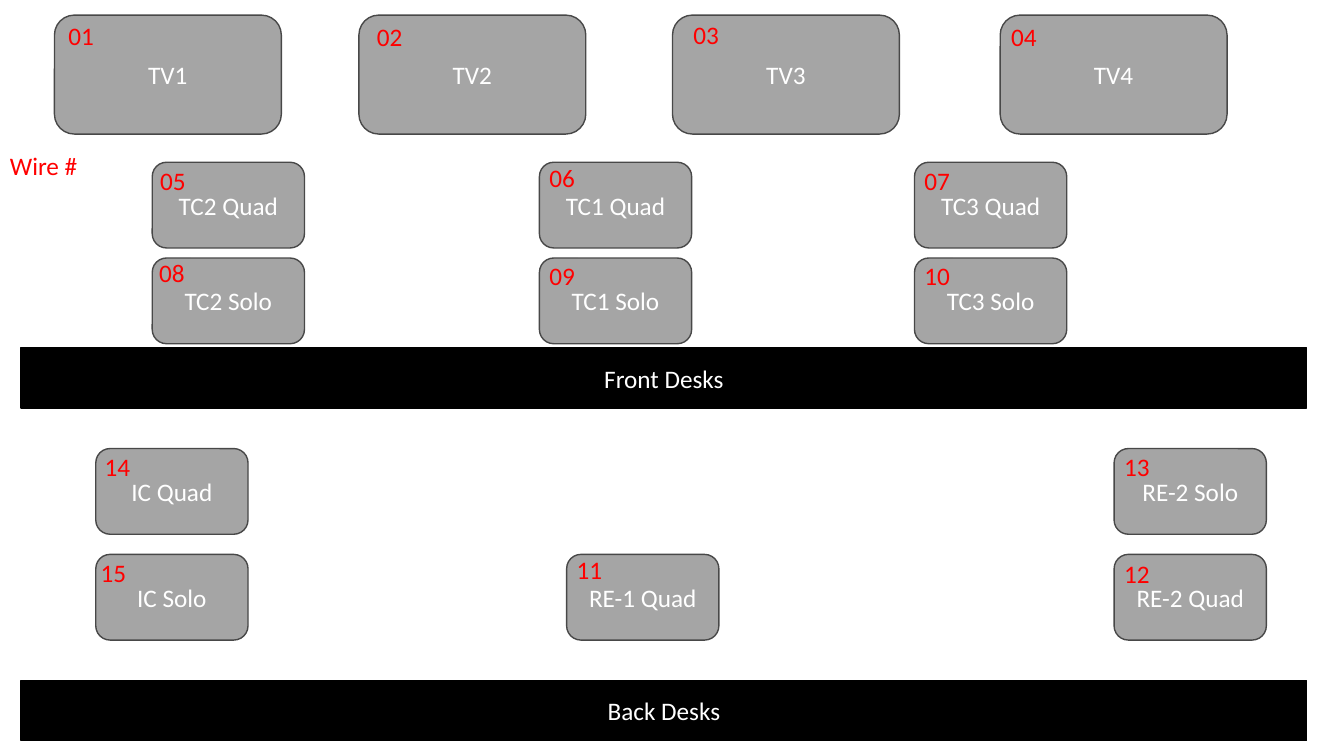
from dataclasses import dataclass

from pptx import Presentation
from pptx.dml.color import RGBColor
from pptx.enum.shapes import MSO_SHAPE
from pptx.enum.text import MSO_ANCHOR, MSO_AUTO_SIZE, PP_ALIGN
from pptx.util import Inches, Pt


@dataclass(frozen=True)
class Theme:
    font: str = "Calibri"
    size: int = 18
    stroke: int = 1
    desk: str = "000000"
    screen: str = "A5A5A5"
    edge: str = "484848"
    label: str = "FFFFFF"
    wire: str = "FF0000"


theme = Theme()
deck = Presentation()
deck.slide_width = Inches(13.33)
deck.slide_height = Inches(7.5)
slide = deck.slides.add_slide(deck.slide_layouts[6])


def write(frame, text, color):
    run = frame.paragraphs[0].add_run()
    run.text = text
    run.font.name = theme.font
    run.font.size = Pt(theme.size)
    run.font.color.rgb = RGBColor.from_string(color)


def add_box(kind, text, place, fill, edge):
    box = slide.shapes.add_shape(kind, *map(Inches, place))
    box.shadow.inherit = False
    box.fill.solid()
    box.fill.fore_color.rgb = RGBColor.from_string(fill)
    box.line.color.rgb = RGBColor.from_string(edge)
    box.line.width = Pt(theme.stroke)
    frame = box.text_frame
    frame.vertical_anchor = MSO_ANCHOR.MIDDLE
    frame.paragraphs[0].alignment = PP_ALIGN.CENTER
    write(frame, text, theme.label)


for name, top in [("Front Desks", 3.45), ("Back Desks", 6.75)]:
    add_box(MSO_SHAPE.RECTANGLE, name, (0.21, top, 12.75, 0.6), theme.desk, theme.desk)

large = (2.25, 1.18)
small = (1.51, 0.85)
rows = [
    (0.15, large, [
        ("TV1", 0.54, "01", 0.58, 0.15),
        ("TV2", 3.56, "02", 3.64, 0.16),
        ("TV3", 6.67, "03", 6.78, 0.14),
        ("TV4", 9.92, "04", 9.93, 0.16),
    ]),
    (1.61, small, [
        ("TC2 Quad", 1.51, "05", 1.49, 1.59),
        ("TC1 Quad", 5.35, "06", 5.35, 1.56),
        ("TC3 Quad", 9.07, "07", 9.07, 1.59),
    ]),
    (2.56, small, [
        ("TC2 Solo", 1.51, "08", 1.48, 2.5),
        ("TC1 Solo", 5.35, "09", 5.35, 2.53),
        ("TC3 Solo", 9.07, "10", 9.07, 2.53),
    ]),
    (4.45, small, [
        ("IC Quad", 0.95, "14", 0.94, 4.43),
        ("RE-2 Solo", 11.05, "13", 11.05, 4.43),
    ]),
    (5.5, small, [
        ("IC Solo", 0.95, "15", 0.9, 5.48),
        ("RE-1 Quad", 5.62, "11", 5.62, 5.45),
        ("RE-2 Quad", 11.05, "12", 11.05, 5.49),
    ]),
]

notes = [("Wire #", 0, 1.44, 1.14)]
for top, size, screens in rows:
    for name, left, wire, x, y in screens:
        place = (left, top, *size)
        add_box(MSO_SHAPE.ROUNDED_RECTANGLE, name, place, theme.screen, theme.edge)
        notes.append((wire, x, y, 0.54))

for text, left, top, width in notes:
    note = slide.shapes.add_textbox(*map(Inches, (left, top, width, 0.4)))
    frame = note.text_frame
    frame.word_wrap = True
    frame.auto_size = MSO_AUTO_SIZE.SHAPE_TO_FIT_TEXT
    write(frame, text, theme.wire)

deck.save("out.pptx")
